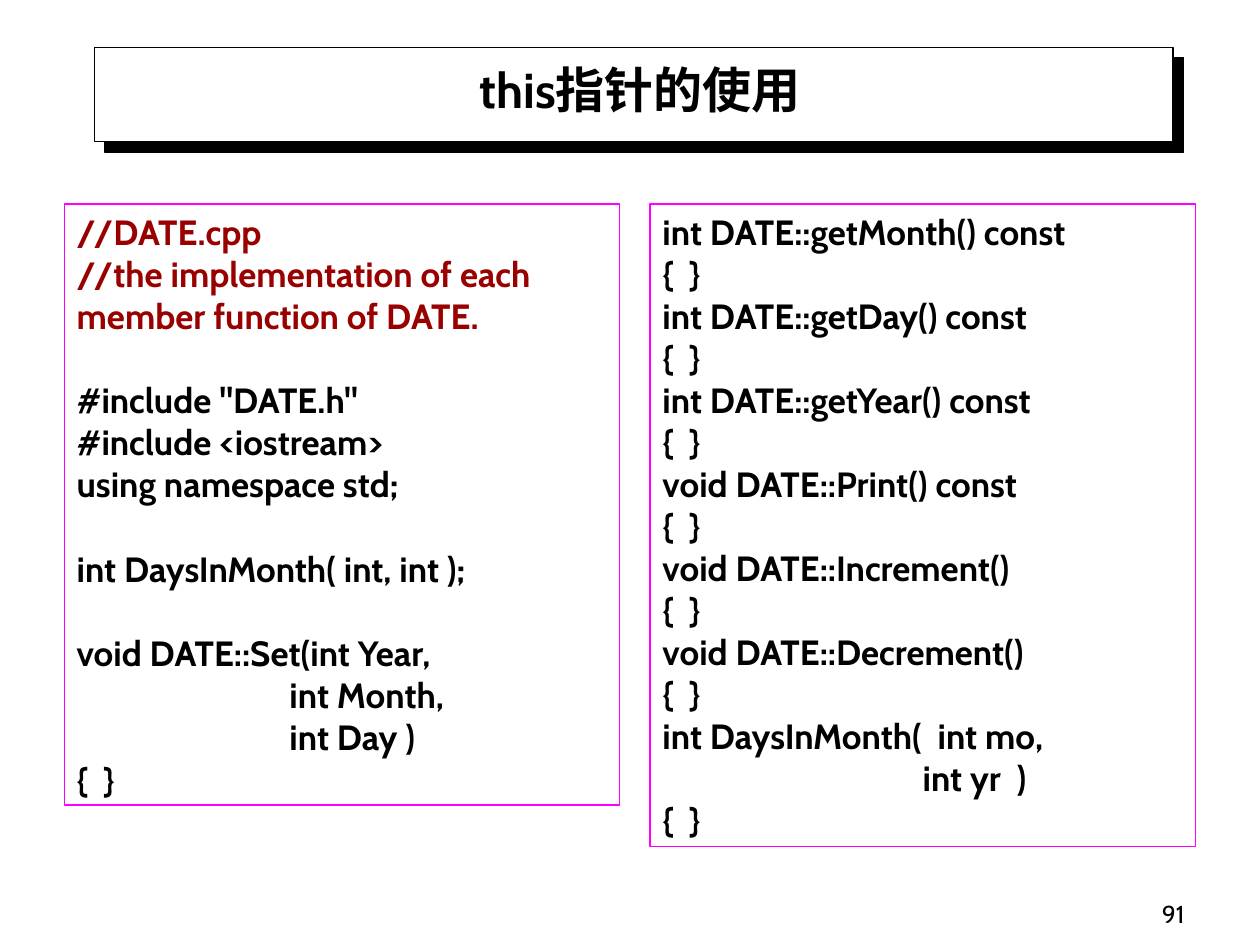
"""Build the slide on using the this pointer in the DATE class."""
from lxml import etree
from pptx import Presentation
from pptx import util as u
from pptx.dml.color import RGBColor
from pptx.enum import shapes, text
from pptx.oxml.ns import qn

COLORS = {"ink": "000000", "paper": "FFFFFF", "comment": "990000", "frame": "FF00FF"}
FONT = "Cabin"
CODE_SIZE = 20
BLANK_LINE = 24.3
WIDTH, HEIGHT = 10, 7.5
CODE_TOP = 1.62
GETTERS = ["int DATE::getMonth() const", "int DATE::getDay() const", "int DATE::getYear() const"]
ACTIONS = ["void DATE::Print() const", "void DATE::Increment()", "void DATE::Decrement()"]
EMPTY_BODY = "{  }"

IMPLEMENTATION = [
    ["//DATE.cpp", "//the implementation of each member function of DATE."],
    ['#include "DATE.h"', "#include <iostream>", "using namespace std;"],
    ["int DaysInMonth( int, int );"],
    [
        "void DATE::Set(int Year,",
        "                           int Month,",
        "                           int Day )",
        EMPTY_BODY,
    ],
]
MEMBERS = [
    [line for head in GETTERS + ACTIONS for line in (head, EMPTY_BODY)]
    + ["int DaysInMonth(  int mo,", "                                 int yr  )", EMPTY_BODY]
]


def color(name):
    """Return the named colour."""
    return RGBColor.from_string(COLORS[name])


def inches(*lengths):
    """Convert lengths in inches."""
    return [u.Inches(length) for length in lengths]


def format_paragraph(paragraph, size, bold=True, ink="ink", align=text.PP_ALIGN.LEFT):
    """Set the alignment and the font of every run."""
    paragraph.alignment = align
    for run in paragraph.runs:
        run.font.name = FONT
        run.font.size = u.Pt(size)
        run.font.bold = bold
        run.font.color.rgb = color(ink)


def add_frame(slide, box, line):
    """Add a thinly outlined rectangle without fill or shadow."""
    shape = slide.shapes.add_shape(shapes.MSO_SHAPE.RECTANGLE, *inches(*box))
    shape.shadow.inherit = False
    shape.fill.background()
    shape.line.color.rgb = color(line)
    shape.line.width = u.Pt(0.75)
    return shape


def add_banner(slide, box):
    """Add the white banner with its hard shadow behind the title."""
    banner = add_frame(slide, box, "ink")
    banner.fill.solid()
    banner.fill.fore_color.rgb = color("paper")
    effects = banner.element.spPr.find(qn("a:effectLst"))
    shadow = etree.SubElement(
        effects, qn("a:outerShdw"), dist=str(u.Pt(8.5)), dir=str(45 * 60000), algn="ctr", rotWithShape="0"
    )
    etree.SubElement(shadow, qn("a:srgbClr"), val=COLORS["ink"])
    slide.shapes.title.element.addprevious(banner.element)


def format_title(slide, box, wording):
    """Place and format the title placeholder."""
    title = slide.shapes.title
    title.left, title.top, title.width, title.height = inches(*box)
    frame = title.text_frame
    frame.text = wording
    frame.auto_size = text.MSO_AUTO_SIZE.NONE
    frame.vertical_anchor = text.MSO_ANCHOR.BOTTOM
    format_paragraph(frame.paragraphs[0], 28, align=text.PP_ALIGN.CENTER)


def add_code(slide, box, groups):
    """Add a framed listing with one line of space between groups."""
    frame = add_frame(slide, box, "frame").text_frame
    frame.word_wrap = True
    frame.auto_size = text.MSO_AUTO_SIZE.SHAPE_TO_FIT_TEXT
    frame.vertical_anchor = text.MSO_ANCHOR.TOP
    frame.text = "\n".join(line for group in groups for line in group)
    paragraphs = iter(frame.paragraphs)
    for number, group in enumerate(groups):
        for position, line in enumerate(group):
            paragraph = next(paragraphs)
            if number and position == 0:
                paragraph.space_before = u.Pt(BLANK_LINE)
            ink = "comment" if line.startswith("//") else "ink"
            format_paragraph(paragraph, CODE_SIZE, ink=ink)


def add_page_number(slide, box, number):
    """Add the page number at the lower right."""
    frame = slide.shapes.add_textbox(*inches(*box)).text_frame
    frame.word_wrap = True
    frame.vertical_anchor = text.MSO_ANCHOR.BOTTOM
    frame.text = number
    format_paragraph(frame.paragraphs[0], 14, bold=False, align=text.PP_ALIGN.RIGHT)


def main():
    """Build and save the slide."""
    presentation = Presentation()
    presentation.slide_width, presentation.slide_height = inches(WIDTH, HEIGHT)
    slide = presentation.slides.add_slide(presentation.slide_layouts[5])
    add_banner(slide, (0.75, 0.05 * HEIGHT, 8.56, 0.1 * HEIGHT))
    format_title(slide, (0.83, 0.44, 0.85 * WIDTH, 0.55), "this指针的使用")
    add_code(slide, (0.51, CODE_TOP, 4.41, 4.77), IMPLEMENTATION)
    add_code(slide, (5.16, CODE_TOP, 4.33, 5.1), MEMBERS)
    add_page_number(slide, (7.42, 6.92, 2.08, 0.5), "91")
    presentation.save("out.pptx")


if __name__ == "__main__":
    main()
